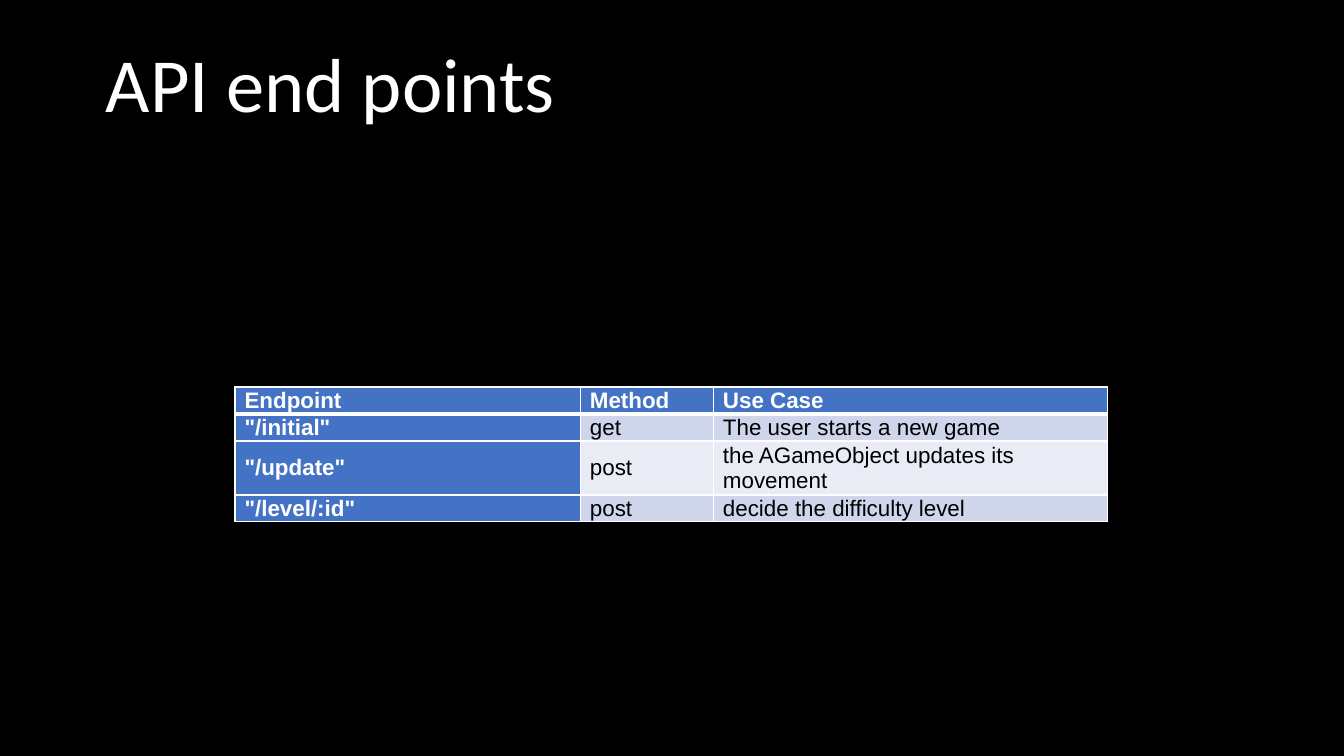
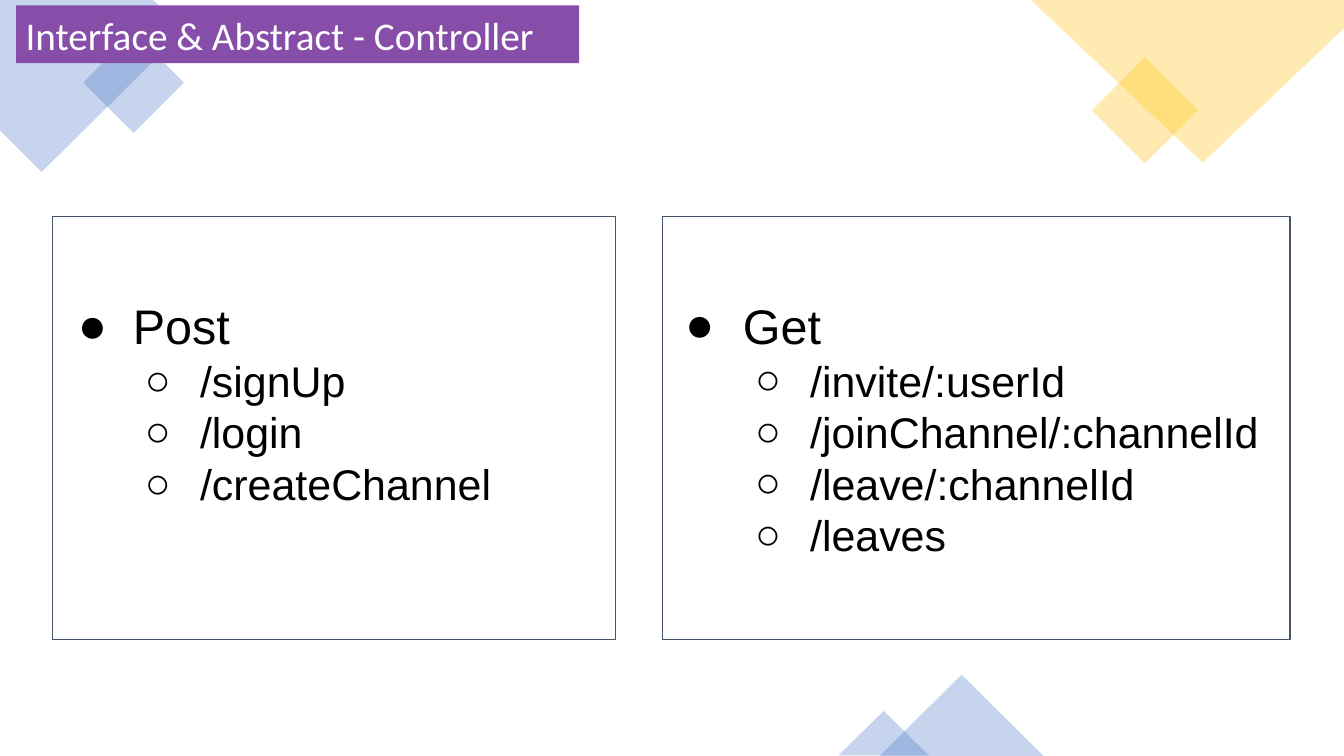
from lxml.etree import SubElement
from pptx import Presentation
from pptx.dml.color import RGBColor
from pptx.enum.shapes import MSO_SHAPE
from pptx.enum.text import MSO_ANCHOR, MSO_AUTO_SIZE, PP_ALIGN
from pptx.oxml.ns import qn
from pptx.util import Inches, Pt

BLACK = RGBColor(0x00, 0x00, 0x00)
WHITE = RGBColor(0xFF, 0xFF, 0xFF)
BLUE = RGBColor(0x44, 0x72, 0xC4)
GOLD = RGBColor(0xFF, 0xC0, 0x00)
PURPLE = RGBColor(0x86, 0x4E, 0xA9)
SLATE = RGBColor(0x44, 0x54, 0x6A)
ROW_BANDS = [RGBColor(0xCF, 0xD5, 0xEA), RGBColor(0xE9, 0xEB, 0xF5)]

WIDTH = 10
HEIGHT = WIDTH * 9 / 16
TITLE_FONT, BODY_FONT = "Calibri", "Arial"

ENDPOINTS = [
    ["Endpoint", "Method", "Use Case"],
    ['"/initial"', "get", "The user starts a new game"],
    ['"/update"', "post", "the AGameObject updates its movement"],
    ['"/level/:id"', "post", "decide the difficulty level"],
]
POST_ROUTES = ["/signUp", "/login", "/createChannel"]
GET_ROUTES = ["/invite/:userId", "/joinChannel/:channelId", "/leave/:channelId", "/leaves"]


def write(p, text, size, font=BODY_FONT, color=BLACK, bold=False):
    p.alignment = PP_ALIGN.LEFT
    r = p.add_run()
    r.text = text
    r.font.size = Pt(size)
    r.font.name = font
    r.font.color.rgb = color
    r.font.bold = bold


def set_margins(target, left, top, right, bottom):
    target.margin_left, target.margin_right = Inches(left), Inches(right)
    target.margin_top, target.margin_bottom = Inches(top), Inches(bottom)


def style(sp, fill=None, line=None, opacity=None):
    sp.shadow.inherit = False
    if fill is None:
        sp.fill.background()
    else:
        sp.fill.solid()
        sp.fill.fore_color.rgb = fill
    if opacity is not None:
        color = sp.element.spPr.find(".//" + qn("a:srgbClr"))
        SubElement(color, qn("a:alpha"), val=str(opacity * 1000))
    if line is None:
        sp.line.fill.background()
    else:
        sp.line.color.rgb = line
        sp.line.width = Pt(0.75)
    return sp


def add_box(slide, box, kind=MSO_SHAPE.RECTANGLE, **look):
    sp = slide.shapes.add_shape(kind, *map(Inches, box))
    return style(sp, **look)


def add_polygon(slide, points, **look):
    start, *rest = [(Inches(x), Inches(y)) for x, y in points]
    builder = slide.shapes.build_freeform(*start, scale=1.0)
    builder.add_line_segments(rest, close=True)
    return style(builder.convert_to_shape(), **look)


def add_slide(prs):
    slide = prs.slides.add_slide(prs.slide_layouts[6])
    slide.background.fill.solid()
    slide.background.fill.fore_color.rgb = BLACK
    return slide


def add_title(slide, box, text):
    tf = slide.shapes.add_textbox(*map(Inches, box)).text_frame
    tf.word_wrap = True
    tf.vertical_anchor = MSO_ANCHOR.BOTTOM
    p = tf.paragraphs[0]
    p.line_spacing = 0.9
    p.space_after = Pt(6)
    write(p, text, 41, TITLE_FONT, WHITE)


def add_borders(cell, top, bottom):
    tcPr = cell._tc.get_or_add_tcPr()
    for side, width in zip("LRTB", (1, 1, top, bottom)):
        ln = SubElement(tcPr, qn(f"a:ln{side}"), w=str(Pt(width)))
        fill = SubElement(ln, qn("a:solidFill"))
        SubElement(fill, qn("a:srgbClr"), val=str(WHITE))


def add_endpoint_table(slide, box, rows, col_widths):
    frame = slide.shapes.add_table(len(rows), len(col_widths), *map(Inches, box))
    table = frame.table
    for col, width in zip(table.columns, col_widths):
        col.width = Inches(width)
    for i, values in enumerate(rows):
        table.rows[i].height = Inches(0)
        for j, value in enumerate(values):
            cell = table.cell(i, j)
            heading = i == 0 or j == 0
            set_margins(cell, 0.07, 0, 0.07, 0)
            cell.vertical_anchor = MSO_ANCHOR.MIDDLE
            add_borders(cell, 3 if i == 1 else 1, 3 if i == 0 else 1)
            cell.fill.solid()
            cell.fill.fore_color.rgb = BLUE if heading else ROW_BANDS[(i - 1) % 2]
            write(cell.text_frame.paragraphs[0], value, 12,
                  color=WHITE if heading else BLACK, bold=heading)
    frame.height = Inches(box[3])


def add_decor(slide):
    add_box(slide, (0, 0, WIDTH, HEIGHT), fill=WHITE)
    add_polygon(slide, [(1.14, 0), (0, 0), (0, 0.97), (0.31, 1.28), (1.37, 0.23)],
                fill=BLUE, opacity=30)
    for x, y, side, color in [(0.73, 0.35, 0.53, BLUE), (8.24, 0.54, 0.56, GOLD)]:
        sp = add_box(slide, (x, y, side, side), fill=color, opacity=30)
        sp.rotation = 315
    add_polygon(slide, [(WIDTH, 0), (7.67, 0), (8.95, 1.21), (WIDTH, 0.21)],
                fill=GOLD, opacity=30)
    for box in [(6.54, 5.02, 1.23, 0.61), (6.24, 5.29, 0.67, 0.33)]:
        add_box(slide, box, MSO_SHAPE.ISOSCELES_TRIANGLE, fill=BLUE, opacity=30)


def add_band(slide, box, text):
    tf = add_box(slide, box, fill=PURPLE).text_frame
    tf.word_wrap = True
    tf.auto_size = MSO_AUTO_SIZE.SHAPE_TO_FIT_TEXT
    tf.vertical_anchor = MSO_ANCHOR.TOP
    set_margins(tf, 0.07, 0.04, 0.07, 0.04)
    write(tf.paragraphs[0], text, 21, TITLE_FONT, WHITE)


def set_bullet(p, char, left, hanging):
    pPr = p._p.get_or_add_pPr()
    pPr.set("marL", str(Inches(left)))
    pPr.set("indent", str(-Inches(hanging)))
    color = SubElement(pPr, qn("a:buClr"))
    SubElement(color, qn("a:srgbClr"), val=str(BLACK))
    SubElement(pPr, qn("a:buFont"), typeface=BODY_FONT)
    SubElement(pPr, qn("a:buChar"), char=char)


def add_route_panel(slide, box, method, routes, hanging=0.41, bottom=0.1):
    tf = add_box(slide, box, line=SLATE).text_frame
    tf.word_wrap = True
    tf.vertical_anchor = MSO_ANCHOR.MIDDLE
    set_margins(tf, 0.1, 0.1, 0.1, bottom)
    p = tf.paragraphs[0]
    write(p, method, 26)
    set_bullet(p, "●", 0.5, hanging)
    for route in routes:
        p = tf.add_paragraph()
        p.level = 1
        write(p, route, 23)
        set_bullet(p, "○", 1, 0.41)


def build_endpoints_slide(prs):
    slide = add_slide(prs)
    add_title(slide, (0.69, 0.24, 8.62, 0.77), "API end points")
    add_endpoint_table(slide, (1.75, 2.88, 6.49, 0.8), ENDPOINTS, [2.57, 0.99, 2.93])


def build_controller_slide(prs):
    slide = add_slide(prs)
    add_decor(slide)
    add_band(slide, (0.12, 0.04, 4.19, 0.43), "Interface & Abstract - Controller")
    add_route_panel(slide, (0.39, 1.61, 4.19, 3.15), "Post", POST_ROUTES, bottom=0.48)
    add_route_panel(slide, (4.93, 1.61, 4.67, 3.15), "Get", GET_ROUTES, hanging=0.43)


def main():
    prs = Presentation()
    prs.slide_width, prs.slide_height = Inches(WIDTH), Inches(HEIGHT)
    build_endpoints_slide(prs)
    build_controller_slide(prs)
    prs.save("out.pptx")


if __name__ == "__main__":
    main()
